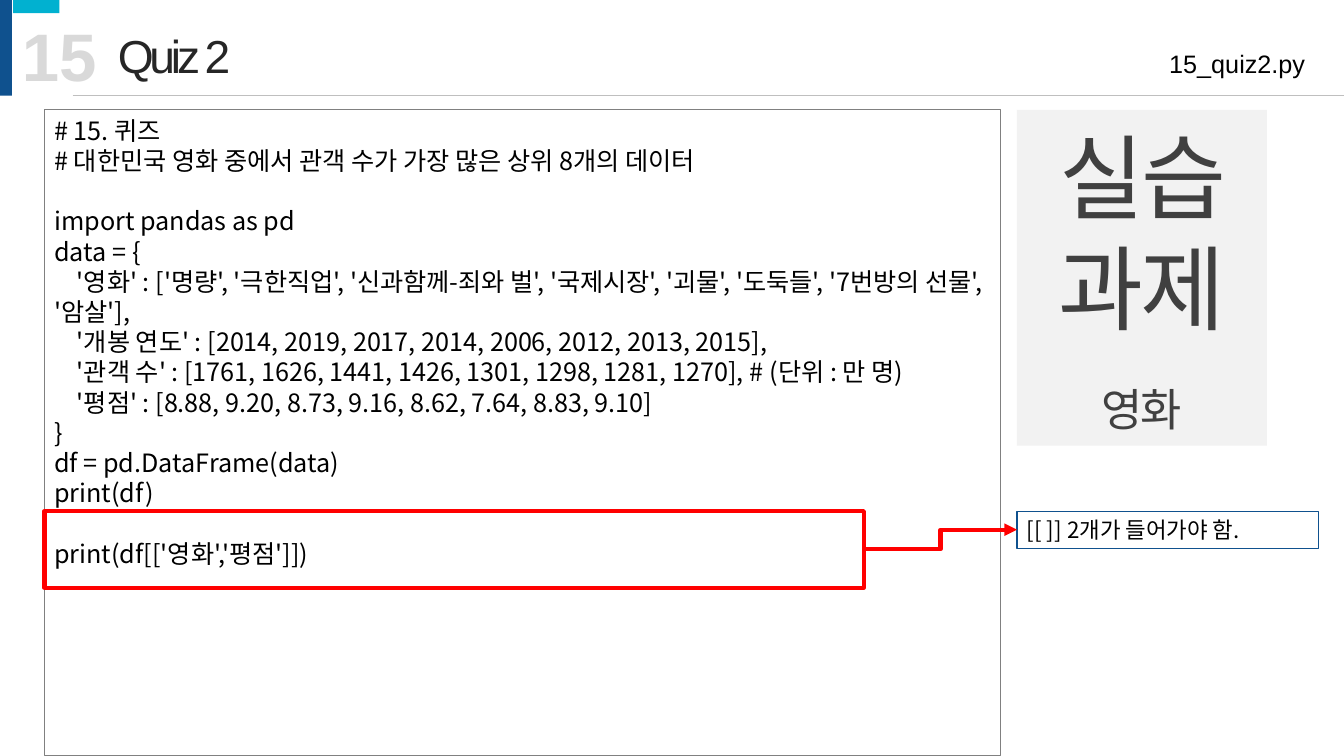
"""Build the Quiz 2 slide on picking two columns of a film table."""
from dataclasses import dataclass
from typing import Optional

from lxml.etree import SubElement as Sub
from pptx import Presentation
from pptx.dml.color import RGBColor as Rgb
from pptx.enum.shapes import MSO_CONNECTOR as Link, MSO_SHAPE as Form
from pptx.enum.text import MSO_ANCHOR as Anchor, PP_ALIGN as Align
from pptx.oxml.ns import qn
from pptx.util import Cm, Pt

HUE = {
    "navy": "0F518E", "cyan": "01B1D0", "rule": "BFBFBF", "edge": "808080",
    "pale": "F2F2F2", "red": "FF0000", "black": "000000", "dark": "404040",
    "ink": "262626", "faint": "D9D9D9",
}
HAN = "Noto Sans CJK KR"
LEAD = 1.2


@dataclass
class Line:
    text: str
    size: float = 18
    gap: float = 0


@dataclass
class Box:
    left: float
    top: float
    width: float
    height: float
    lines: tuple[Line, ...] = ()
    fill: Optional[str] = None
    edge: Optional[str] = None
    thick: float = 0.75
    font: str = HAN
    hue: str = "black"
    bold: bool = False
    track: float = 0
    align: Align = Align.LEFT
    anchor: Anchor = Anchor.TOP
    wrap: bool = True
    plain: bool = False


@dataclass
class Wire:
    kind: Link
    start: tuple[float, float]
    end: tuple[float, float]
    hue: str
    thick: float
    arrow: bool = False


def tint(name: str) -> Rgb:
    """Turn a colour name into a colour value."""
    return Rgb.from_string(HUE[name])


def write(frame, box: Box) -> None:
    """Fill a text frame with the lines of a box."""
    frame.word_wrap = box.wrap
    frame.vertical_anchor = box.anchor
    for i, line in enumerate(box.lines):
        para = frame.add_paragraph() if i else frame.paragraphs[0]
        para.alignment = box.align
        if line.gap:
            para.space_before = Pt(line.gap)
        if not line.text.isascii() or box.font == HAN:
            para.line_spacing = Pt(line.size * LEAD)
        run = para.add_run()
        run.text = line.text
        font = run.font
        font.name, font.size, font.bold = box.font, Pt(line.size), box.bold
        font.color.rgb = tint(box.hue)
        props = run._r.get_or_add_rPr()
        Sub(props, qn("a:ea")).set("typeface", HAN)
        if box.track:
            props.set("spc", str(round(box.track * 100)))


def place(slide, box: Box) -> None:
    """Draw a box as a rectangle or as bare text."""
    area = [Cm(v) for v in (box.left, box.top, box.width, box.height)]
    if box.plain:
        shape = slide.shapes.add_textbox(*area)
    else:
        shape = slide.shapes.add_shape(Form.RECTANGLE, *area)
        shape.shadow.inherit = False
        if box.fill:
            shape.fill.solid()
            shape.fill.fore_color.rgb = tint(box.fill)
        else:
            shape.fill.background()
        if box.edge:
            shape.line.color.rgb = tint(box.edge)
            shape.line.width = Pt(box.thick)
        else:
            shape.line.fill.background()
    if box.lines:
        write(shape.text_frame, box)


def join(slide, wire: Wire) -> None:
    """Draw a straight or bent line."""
    ends = [Cm(v) for v in wire.start + wire.end]
    item = slide.shapes.add_connector(wire.kind, *ends)
    item.line.color.rgb = tint(wire.hue)
    item.line.width = Pt(wire.thick)
    if wire.arrow:
        Sub(item.line._get_or_add_ln(), qn("a:tailEnd")).set("type", "triangle")
    Sub(item._element.spPr, qn("a:effectLst"))


ROW = 18 * LEAD
CODE = (
    Line("# 15. 퀴즈"),
    Line("# 대한민국 영화 중에서 관객 수가 가장 많은 상위 8개의 데이터"),
    Line("import pandas as pd", gap=ROW),
    Line("data = {"),
    Line("    '영화' : ['명량', '극한직업', '신과함께-죄와 벌', '국제시장', "
         "'괴물', '도둑들', '7번방의 선물', '암살'],"),
    Line("    '개봉 연도' : [2014, 2019, 2017, 2014, 2006, 2012, 2013, 2015],"),
    Line("    '관객 수' : [1761, 1626, 1441, 1426, 1301, 1298, 1281, 1270], "
         "# (단위 : 만 명)"),
    Line("    '평점' : [8.88, 9.20, 8.73, 9.16, 8.62, 7.64, 8.83, 9.10]"),
    Line("}"),
    Line("df = pd.DataFrame(data)"),
    Line("print(df)"),
    Line("print(df[['영화','평점']])", gap=ROW),
)
TASK = (Line("실습과제", 66), Line("영화", 32, 24 * LEAD))

BOXES = (
    Box(0, 0, 0.3, 2.41, fill="navy"),
    Box(0.33, 0, 1.17, 0.33, fill="cyan"),
    Box(1.12, 2.77, 24.1, 16.28, CODE, edge="edge"),
    Box(25.63, 2.77, 6.3, 8.46, TASK, fill="pale", font="Arial", hue="dark",
        track=-1.5, align=Align.CENTER, anchor=Anchor.MIDDLE),
    Box(0.3, 0.23, 2.41, 2.31, (Line("15", 48),), font="Arial", hue="faint",
        bold=True, wrap=False, plain=True),
    Box(22.68, 1.09, 10.46, 1.02, (Line("15_quiz2.py"),), font="Arial",
        align=Align.RIGHT, plain=True),
    Box(2.72, 0.56, 22.28, 1.7, (Line("Quiz 2", 33),), font="Arial", hue="ink",
        track=-3, plain=True),
    Box(1.12, 12.88, 20.65, 1.93, edge="red", thick=3),
    Box(25.63, 12.88, 7.59, 0.94, (Line("[[ ]] 2개가 들어가야 함.", 16),),
        edge="navy"),
)
WIRES = (
    Wire(Link.STRAIGHT, (1.83, 2.41), (33.87, 2.41), "rule", 0.5),
    Wire(Link.ELBOW, (21.77, 13.84), (25.63, 13.35), "red", 3, True),
)


def main() -> None:
    """Draw the slide and save it."""
    deck = Presentation()
    deck.slide_width, deck.slide_height = Cm(33.87), Cm(19.05)
    slide = deck.slides.add_slide(deck.slide_layouts[6])
    for box in BOXES:
        place(slide, box)
    for wire in WIRES:
        join(slide, wire)
    deck.save("out.pptx")


if __name__ == "__main__":
    main()
